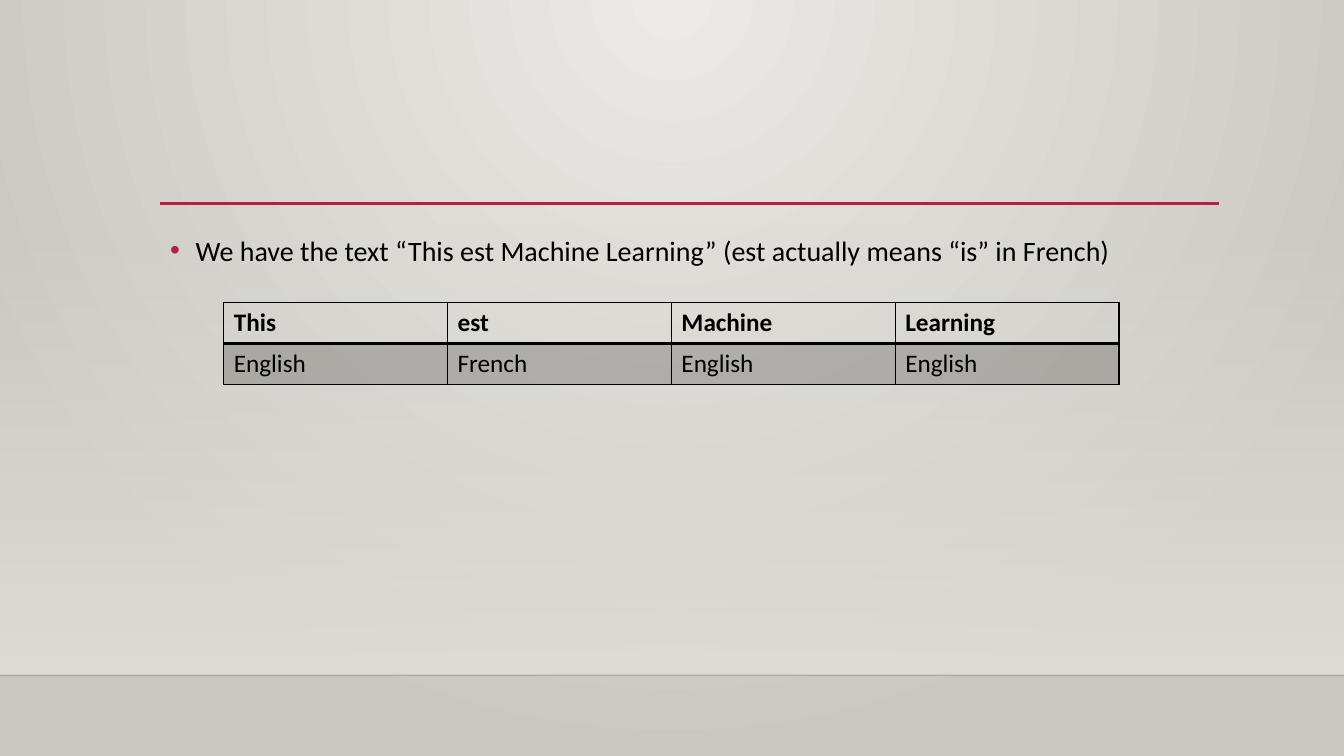
from lxml.etree import SubElement
from pptx import Presentation
from pptx.dml.color import RGBColor
from pptx.enum.shapes import MSO_CONNECTOR as CONNECTOR, MSO_SHAPE as SHAPE
from pptx.oxml.ns import qn
from pptx.util import Cm, Pt

SENTENCE = "We have the text “This est Machine Learning” (est actually means “is” in French)"
WORDS = [
    ("This", "est", "Machine", "Learning"),
    ("English", "French", "English", "English"),
]
FONT = "Calibri"
BLACK = RGBColor(0, 0, 0)
CRIMSON = RGBColor(0xB7, 0x1E, 0x42)
WALL_LIGHT = RGBColor(0xEC, 0xEA, 0xE7)
WALL_DARK = RGBColor(0xCA, 0xC7, 0xC1)
GLOW = RGBColor(0xDF, 0xDB, 0xD5)

WIDTH, HEIGHT = Cm(33.87), Cm(19.05)
FLOOR_TOP = Cm(17.02)
GLOW_TOP = Cm(5.61)
LEFT, RULE_RIGHT, RULE_TOP = Cm(4.04), Cm(30.73), Cm(5.13)
TABLE_LEFT, TABLE_TOP = Cm(5.64), Cm(7.62)
COL_WIDTH, ROW_HEIGHT = Cm(5.64), Cm(1.03)


def set_gradient(fill, start, end):
    fill.gradient()
    for stop, color, position in zip(fill.gradient_stops, (start, end), (0, 1)):
        stop.color.rgb = color
        stop.position = position


def set_alpha(color, percent):
    SubElement(color, qn("a:alpha"), val=str(percent * 1000))


def add_line(s, x1, y1, x2, y2, color, width):
    line = s.shapes.add_connector(CONNECTOR.STRAIGHT, x1, y1, x2, y2)
    line.line.color.rgb = color
    line.line.width = Pt(width)
    SubElement(line._element.spPr, qn("a:effectLst"))
    return line


def add_borders(cell, widths):
    """Draw black borders; widths maps each side (L, R, T, B) to points."""
    tcPr = cell._tc.get_or_add_tcPr()
    for side, width in widths.items():
        ln = SubElement(tcPr, qn(f"a:ln{side}"), w=str(Pt(width)))
        SubElement(SubElement(ln, qn("a:solidFill")), qn("a:srgbClr"), val=str(BLACK))


def paint_background(s):
    fill = s.background.fill
    set_gradient(fill, WALL_LIGHT, WALL_DARK)
    grad = next(s._element.iter(qn("a:gradFill")))
    grad.remove(grad.find(qn("a:lin")))
    circle = SubElement(grad, qn("a:path"), attrib={"path": "circle"})
    SubElement(circle, qn("a:fillToRect"), l="43000", t="0", r="43000", b="100000")

    glow = s.shapes.add_shape(SHAPE.RECTANGLE, 0, GLOW_TOP, WIDTH, FLOOR_TOP - GLOW_TOP)
    glow.shadow.inherit = False
    glow.line.fill.background()
    set_gradient(glow.fill, GLOW, GLOW)
    glow.fill.gradient_angle = 270
    set_alpha(next(glow._element.spPr.iter(qn("a:srgbClr"))), 0)

    floor = add_line(s, 0, FLOOR_TOP, WIDTH, FLOOR_TOP, BLACK, 1)
    set_alpha(next(floor._element.spPr.iter(qn("a:srgbClr"))), 20)


def add_sentence(s):
    tf = s.shapes.add_textbox(LEFT, Cm(5.59), Cm(26.67), Cm(9.58)).text_frame
    tf.word_wrap = True
    p = tf.paragraphs[0]
    p.text = SENTENCE
    p.font.name, p.font.size, p.font.color.rgb = FONT, Pt(20), BLACK
    p.line_spacing, p.space_before = 1.2, Pt(10)
    pPr = p._p.get_or_add_pPr()
    pPr.set("marL", str(Cm(0.64)))
    pPr.set("indent", str(-Cm(0.64)))
    bullet_color, bullet_font, bullet = (
        pPr.makeelement(qn(f"a:{tag}"), attrib)
        for tag, attrib in (("buClr", {}), ("buFont", {"typeface": "Arial"}), ("buChar", {"char": "•"}))
    )
    SubElement(bullet_color, qn("a:srgbClr"), val=str(CRIMSON))
    for element in (bullet_color, bullet_font, bullet):
        pPr.find(qn("a:defRPr")).addprevious(element)


def add_language_table(s):
    rows, cols = len(WORDS), len(WORDS[0])
    table = s.shapes.add_table(
        rows, cols, TABLE_LEFT, TABLE_TOP, cols * COL_WIDTH, rows * ROW_HEIGHT
    ).table
    table.first_row = table.horz_banding = False
    for i, words in enumerate(WORDS):
        table.rows[i].height = ROW_HEIGHT
        header = i == 0
        for j, word in enumerate(words):
            cell = table.cell(i, j)
            add_borders(cell, {"L": 1, "R": 1, "T": 1 if header else 2, "B": 2 if header else 1})
            if header:
                cell.fill.background()
            else:
                cell.fill.solid()
                cell.fill.fore_color.rgb = BLACK
                set_alpha(cell._tc.tcPr.find(qn("a:solidFill"))[0], 20)
            p = cell.text_frame.paragraphs[0]
            p.text = word
            p.font.name, p.font.size, p.font.color.rgb = FONT, Pt(18), BLACK
            p.font.bold = header


def main():
    prs = Presentation()
    prs.slide_width, prs.slide_height = WIDTH, HEIGHT
    s = prs.slides.add_slide(prs.slide_layouts[6])
    paint_background(s)
    add_line(s, LEFT, RULE_TOP, RULE_RIGHT, RULE_TOP, CRIMSON, 2.5)
    add_sentence(s)
    add_language_table(s)
    prs.save("out.pptx")


if __name__ == "__main__":
    main()
